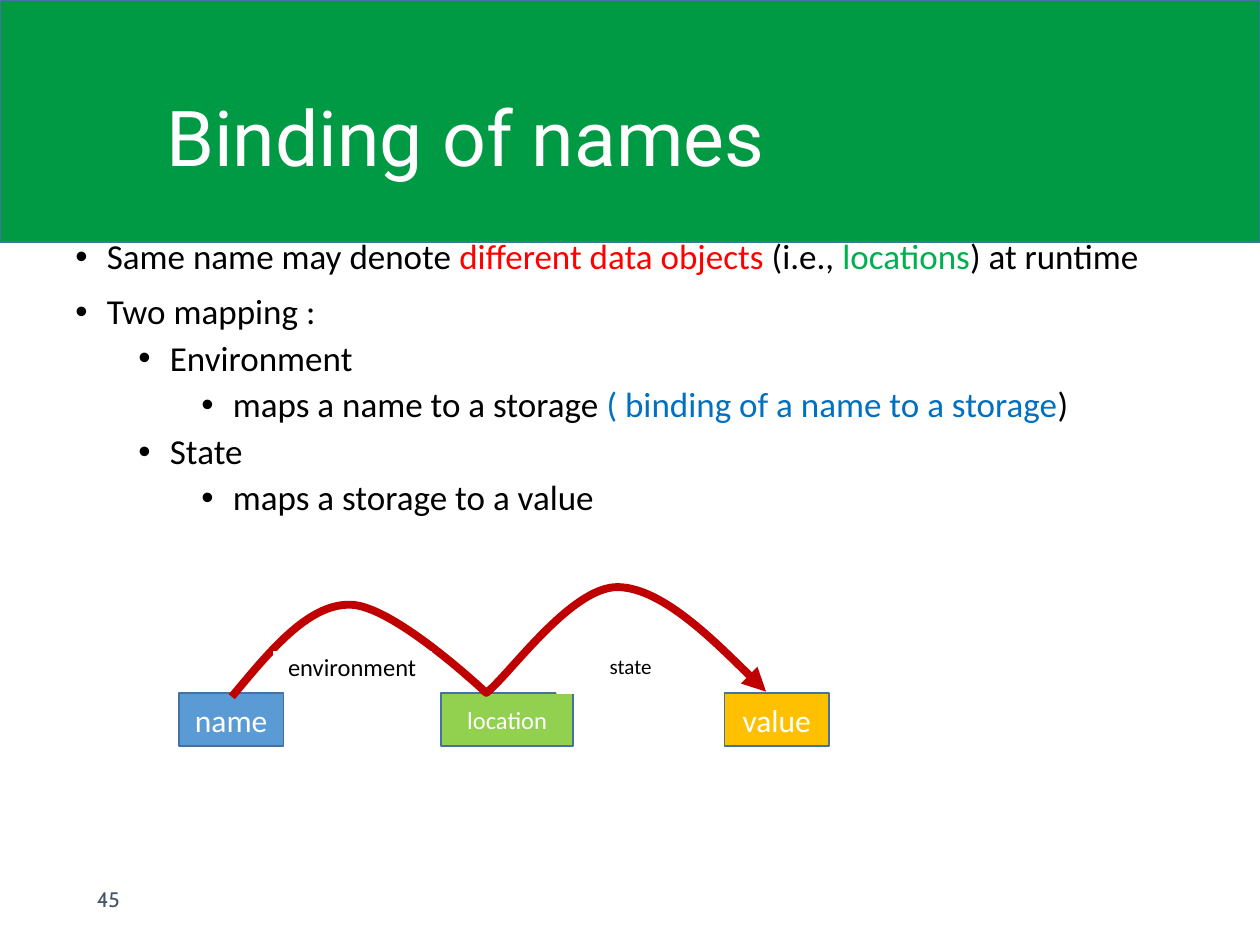
from dataclasses import dataclass

from lxml.etree import SubElement
from pptx import Presentation
from pptx.dml.color import RGBColor
from pptx.enum.shapes import MSO_SHAPE as Kind
from pptx.enum.text import MSO_ANCHOR as Anchor, PP_ALIGN as Align
from pptx.oxml.ns import qn
from pptx.util import Inches, Pt

HUES = {
    "band": "009A44", "edge": "43739E", "white": "FFFFFF", "black": "000000",
    "slate": "44546A", "red": "FF0000", "green": "00B050", "blue": "0070C0",
    "sky": "5B9BD5", "lime": "92D050", "gold": "FFC000", "arc": "C00000",
}


@dataclass
class Box:
    left: float
    top: float
    width: float
    height: float
    fill: str
    edge: str = "edge"
    text: str = ""
    size: int = 18
    ink: str = "white"


@dataclass
class Item:
    level: int
    spans: list[tuple[str, str]]


@dataclass
class Label:
    left: float
    top: float
    width: float
    height: float
    text: str
    size: int
    font: str
    ink: str
    indent: float = 0


BAND = Box(0, 0, 10, 1.92, "band")
LABELS = [
    Label(0.69, 0.4, 8.62, 1.45, "Binding of names", 44, "Roboto", "white", 0.53),
    Label(0.67, 6.95, 2.17, 0.4, "45", 12, "Cabin", "slate"),
]
ITEMS = [
    Item(0, [("Same name may denote ", "black"), ("different data objects ", "red"),
             ("(i.e., ", "black"), ("locations", "green"), (") at runtime", "black")]),
    Item(0, [("Two mapping :", "black")]),
    Item(1, [("Environment", "black")]),
    Item(2, [("maps a name to a storage ", "black"),
             ("( binding of a name to a storage", "blue"), (")", "black")]),
    Item(1, [("State", "black")]),
    Item(2, [("maps a storage to a value", "black")]),
]
NODES = [
    Box(1.42, 5.5, 0.83, 0.42, "sky", text="name"),
    Box(3.5, 5.5, 1.05, 0.42, "lime", text="location", size=14),
    Box(5.75, 5.5, 0.83, 0.42, "gold", text="value"),
]
TAGS = [
    Box(2.17, 5.17, 1.25, 0.25, "white", "white", "environment", 14, "black"),
    Box(4.42, 5.08, 1.17, 0.42, "white", "white", "state", 12, "black"),
]
CURVE = [
    (1.84, 5.53),
    (2.14, 5.17), (2.44, 4.8), (2.77, 4.8),
    (3.11, 4.79), (3.86, 5.5), (3.86, 5.5),
    (4.04, 5.36), (4.53, 4.66), (4.9, 4.66),
    (5.27, 4.66), (6.08, 5.49), (6.08, 5.49),
]


def tint(name: str) -> RGBColor:
    """Return the named colour."""
    return RGBColor.from_string(HUES[name])


def style(run, size: int, ink: str, font: str = "Calibri") -> None:
    """Set the font of one run."""
    run.font.name = font
    run.font.size = Pt(size)
    run.font.color.rgb = tint(ink)


def indent(para, left: float, first: float) -> None:
    """Set the left margin and first-line indent of a paragraph."""
    props = para._p.get_or_add_pPr()
    props.set("marL", str(Inches(left)))
    props.set("indent", str(Inches(first)))


def draw_box(slide, box: Box) -> None:
    """Draw a filled rectangle with optional centred text."""
    shape = slide.shapes.add_shape(
        Kind.RECTANGLE, Inches(box.left), Inches(box.top),
        Inches(box.width), Inches(box.height))
    shape.shadow.inherit = False
    shape.fill.solid()
    shape.fill.fore_color.rgb = tint(box.fill)
    shape.line.color.rgb = tint(box.edge)
    shape.line.width = Pt(1)
    if box.text:
        frame = shape.text_frame
        frame.text = box.text
        frame.vertical_anchor = Anchor.MIDDLE
        para = frame.paragraphs[0]
        para.alignment = Align.CENTER
        style(para.runs[0], box.size, box.ink)


def draw_label(slide, label: Label) -> None:
    """Draw one line of text, centred vertically."""
    frame = slide.shapes.add_textbox(
        Inches(label.left), Inches(label.top),
        Inches(label.width), Inches(label.height)).text_frame
    frame.word_wrap = True
    frame.vertical_anchor = Anchor.MIDDLE
    frame.text = label.text
    para = frame.paragraphs[0]
    para.line_spacing = 0.9
    indent(para, label.indent, 0)
    style(para.runs[0], label.size, label.ink, label.font)


def draw_list(slide, items: list[Item]) -> None:
    """Draw the bulleted outline."""
    frame = slide.shapes.add_textbox(
        Inches(0.5), Inches(1.85), Inches(9), Inches(4.88)).text_frame
    frame.word_wrap = True
    for i, item in enumerate(items):
        para = frame.add_paragraph() if i else frame.paragraphs[0]
        para.level = item.level
        para.line_spacing = 0.9
        para.space_before = Pt(5 if item.level else 10)
        indent(para, 0.25 + 0.5 * item.level, -0.25)
        props = para._p.get_or_add_pPr()
        SubElement(props, qn("a:buFont")).set("typeface", "Arial")
        SubElement(props, qn("a:buChar")).set("char", "•")
        for text, ink in item.spans:
            run = para.add_run()
            run.text = text
            style(run, 20, ink)


def draw_curve(slide, points: list[tuple[float, float]]) -> None:
    """Draw a Bezier arrow from a start and triples of control points."""
    spots = [(Inches(x), Inches(y)) for x, y in points]
    pen = slide.shapes.build_freeform(*spots[0])
    pen.add_line_segments(spots[1:], close=False)
    shape = pen.convert_to_shape()
    shape.shadow.inherit = False
    shape.fill.background()
    shape.line.color.rgb = tint("arc")
    shape.line.width = Pt(4.5)
    SubElement(shape.line._get_or_add_ln(), qn("a:tailEnd")).set("type", "triangle")
    track = next(shape._element.iter(qn("a:path")))
    legs = track.findall(qn("a:lnTo"))
    for i in range(0, len(legs), 3):
        bend = SubElement(track, qn("a:cubicBezTo"))
        for leg in legs[i:i + 3]:
            bend.append(leg[0])
            track.remove(leg)


def main() -> None:
    """Build the slide and save it."""
    deck = Presentation()
    deck.slide_width, deck.slide_height = Inches(10), Inches(7.5)
    slide = deck.slides.add_slide(deck.slide_layouts[6])
    draw_box(slide, BAND)
    for label in LABELS:
        draw_label(slide, label)
    draw_list(slide, ITEMS)
    for node in NODES:
        draw_box(slide, node)
    draw_curve(slide, CURVE)
    for tag in TAGS:
        draw_box(slide, tag)
    deck.save("out.pptx")


if __name__ == "__main__":
    main()
